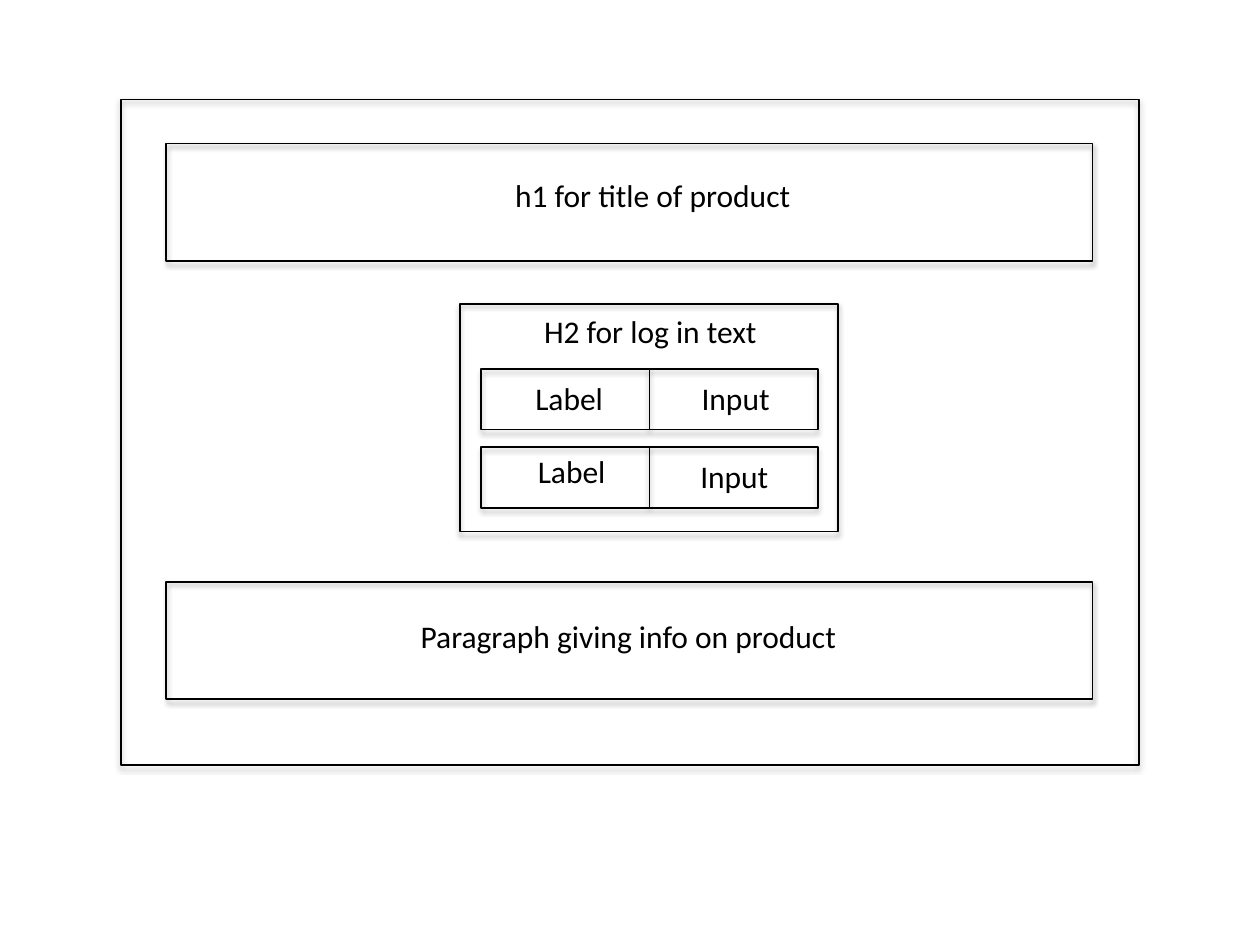
from pptx import Presentation
from pptx.dml.color import RGBColor
from pptx.enum.shapes import MSO_CONNECTOR, MSO_SHAPE
from pptx.enum.text import MSO_AUTO_SIZE
from pptx.oxml import parse_xml
from pptx.oxml.ns import nsdecls
from pptx.util import Inches, Pt

RECTANGLE = MSO_SHAPE.RECTANGLE
STRAIGHT = MSO_CONNECTOR.STRAIGHT
FIT_SHAPE = MSO_AUTO_SIZE.SHAPE_TO_FIT_TEXT
BLACK = RGBColor(0x00, 0x00, 0x00)
FONT = "Calibri"
BLANK_LAYOUT = 6

FIELD_LEFT, FIELD_WIDTH, FIELD_HEIGHT = 3.82, 2.67, 0.48
FIELD_TOPS = (2.93, 3.55)
BANNER_TOPS = (1.14, 4.62)
CAPTIONS = (
    ("h1 for title of product", 3.99, 1.35, 2.64),
    ("H2 for log in text", 4.22, 2.43, 2.64),
    ("Label", 4.15, 2.96, 1.17),
    ("Label", 4.17, 3.54, 1.17),
    ("Input", 5.47, 2.96, 1.17),
    ("Input", 5.46, 3.58, 1.17),
    ("Paragraph giving info on product", 3.24, 4.85, 4.24),
)


def add_shadow(shape, distance, opacity):
    """Give a shape a soft black shadow that falls straight down."""
    shape._element.spPr.append(parse_xml(
        f'<a:effectLst {nsdecls("a")}>'
        f'<a:outerShdw blurRad="{Pt(3.1)}" dist="{Pt(distance)}" dir="5400000" rotWithShape="0">'
        f'<a:srgbClr val="{BLACK}"><a:alpha val="{opacity * 1000}"/></a:srgbClr>'
        '</a:outerShdw></a:effectLst>'))


def add_frame(page, left, top, width, height):
    """Draw an unfilled, outlined wireframe box."""
    frame = page.shapes.add_shape(
        RECTANGLE, Inches(left), Inches(top), Inches(width), Inches(height))
    frame.fill.background()
    frame.line.color.rgb = BLACK
    frame.line.width = Pt(1)
    add_shadow(frame, 1.8, 35)


def add_divider(page, left, top, height):
    """Draw a vertical line between a label and its input."""
    divider = page.shapes.add_connector(
        STRAIGHT, Inches(left), Inches(top), Inches(left), Inches(top + height))
    divider.line.color.rgb = BLACK
    divider.line.width = Pt(0.75)
    add_shadow(divider, 1.6, 38)


def add_caption(page, text, left, top, width):
    """Write one line of wireframe text."""
    box = page.shapes.add_textbox(Inches(left), Inches(top), Inches(width), Inches(0.4))
    frame = box.text_frame
    frame.word_wrap = True
    frame.auto_size = FIT_SHAPE
    frame.text = text
    font = frame.paragraphs[0].runs[0].font
    font.name = FONT
    font.size = Pt(18)
    font.color.rgb = BLACK


def main():
    """Build the log-in page wireframe."""
    deck = Presentation()
    deck.slide_width, deck.slide_height = Inches(10), Inches(7.5)
    page = deck.slides.add_slide(deck.slide_layouts[BLANK_LAYOUT])
    add_frame(page, 0.96, 0.79, 8.08, 5.28)
    add_frame(page, 3.65, 2.41, 3, 1.81)
    for top in BANNER_TOPS:
        add_frame(page, 1.32, top, 7.35, 0.93)
    for top in FIELD_TOPS:
        add_frame(page, FIELD_LEFT, top, FIELD_WIDTH, FIELD_HEIGHT)
        add_divider(page, FIELD_LEFT + FIELD_WIDTH / 2, top, FIELD_HEIGHT)
    for caption in CAPTIONS:
        add_caption(page, *caption)
    deck.save("out.pptx")


main()
